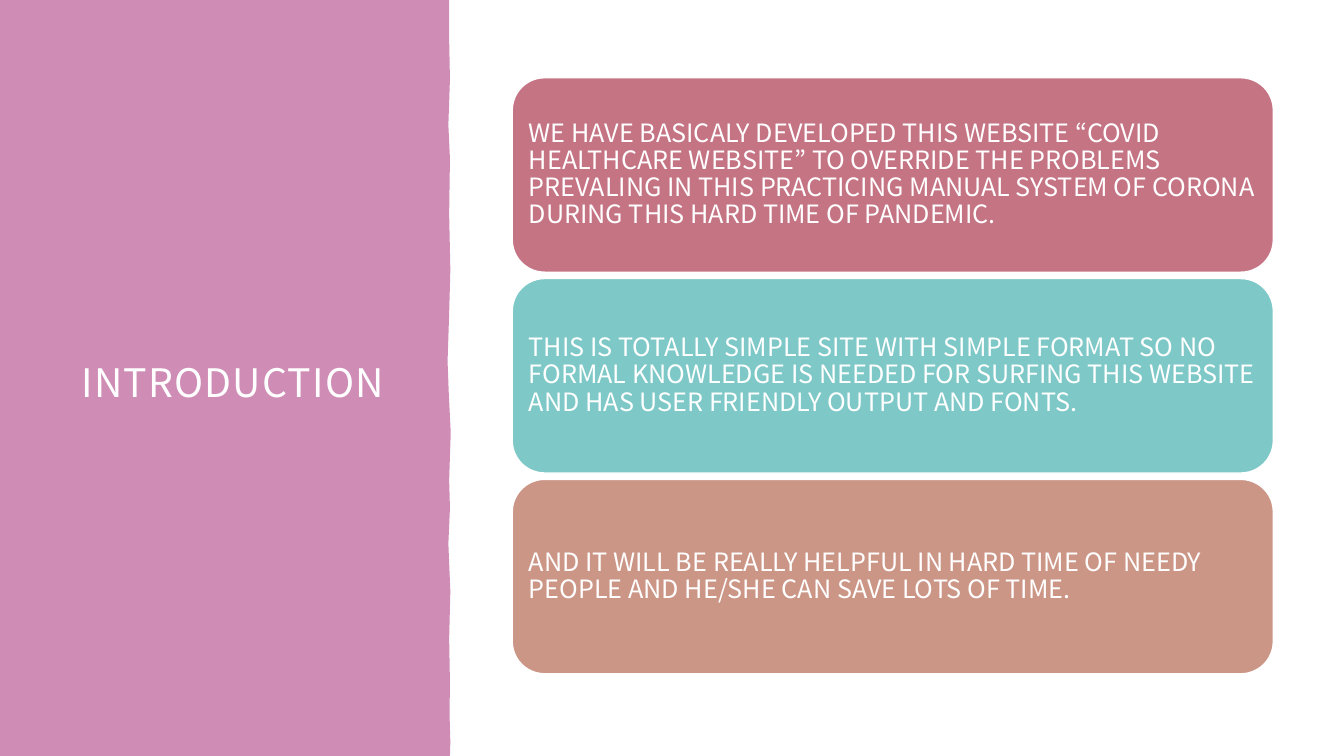
import pptx
import pptx.util
import pptx.dml.color
import pptx.enum.shapes
import pptx.enum.text

Cm = pptx.util.Cm
Pt = pptx.util.Pt
RGBColor = pptx.dml.color.RGBColor

WHITE = RGBColor(0xFF, 0xFF, 0xFF)
PINK = RGBColor(0xCF, 0x8D, 0xB6)
ROSE = RGBColor(0xC5, 0x74, 0x84)
TEAL = RGBColor(0x7E, 0xC8, 0xC8)
CLAY = RGBColor(0xCC, 0x96, 0x87)
FONT = "Noto Sans CJK KR"

PAGE_HEIGHT = 19.05
CARD_TOP, CARD_HEIGHT, CARD_PITCH = 1.96, 4.9, 5.06

# Wavy right edge of the side panel, as (x, y) in centimetres
PANEL_EDGE = [
    (11.32, 0), (11.32, 1.0), (11.34, 2.0), (11.3, 3.15), (11.34, 4.0),
    (11.32, 5.4), (11.35, 6.8), (11.32, 7.9), (11.28, 9.1), (11.31, 9.9),
    (11.36, 10.9), (11.32, 12.1), (11.34, 12.8), (11.3, 13.7), (11.35, 14.9),
    (11.32, 16.1), (11.34, 17.2), (11.33, 18.0), (11.35, 18.7),
    (11.34, PAGE_HEIGHT),
]

CARDS = [
    (ROSE, "WE HAVE BASICALY DEVELOPED THIS WEBSITE “COVID HEALTHCARE WEBSITE” "
           "TO OVERRIDE THE PROBLEMS PREVALING IN THIS PRACTICING MANUAL SYSTEM "
           "OF CORONA DURING THIS HARD TIME OF PANDEMIC."),
    (TEAL, "THIS IS TOTALLY SIMPLE SITE WITH SIMPLE FORMAT SO NO FORMAL KNOWLEDGE "
           "IS NEEDED FOR SURFING THIS WEBSITE AND HAS USER FRIENDLY OUTPUT AND "
           "FONTS."),
    (CLAY, "AND IT WILL BE REALLY HELPFUL IN HARD TIME OF NEEDY PEOPLE AND HE/SHE "
           "CAN SAVE LOTS OF TIME."),
]


def write_text(box, text, size, line_spacing, inset):
    frame = box.text_frame
    frame.text = text
    frame.word_wrap = True
    frame.auto_size = pptx.enum.text.MSO_AUTO_SIZE.NONE
    frame.vertical_anchor = pptx.enum.text.MSO_ANCHOR.MIDDLE
    frame.margin_left = frame.margin_right = Cm(inset)
    frame.margin_top = frame.margin_bottom = Cm(inset)
    para = frame.paragraphs[0]
    para.alignment = pptx.enum.text.PP_ALIGN.LEFT
    para.line_spacing = line_spacing
    span = para.runs[0]
    span.font.name = FONT
    span.font.size = Pt(size)
    span.font.color.rgb = WHITE
    return span


def add_panel(page):
    builder = page.shapes.build_freeform(0, 0, scale=1.0)
    corners = PANEL_EDGE + [(0, PAGE_HEIGHT)]
    builder.add_line_segments([(Cm(x), Cm(y)) for x, y in corners], close=True)
    panel = builder.convert_to_shape()
    panel.shadow.inherit = False
    panel.fill.solid()
    panel.fill.fore_color.rgb = PINK
    panel.line.fill.background()
    # Keep the panel behind the title
    page.shapes.title._element.addprevious(panel._element)


def set_title(page, text):
    title = page.shapes.title
    title.left, title.top = Cm(1.75), Cm(1.78)
    title.width, title.height = Cm(8.61), Cm(15.52)
    span = write_text(title, text, 28, 1.1, 0.3)
    title.text_frame.margin_bottom = Cm(0.25)
    # Letter spacing in hundredths of a point
    span.font._element.set("spc", "90")


def add_card(page, top, colour, text):
    card = page.shapes.add_shape(
        pptx.enum.shapes.MSO_SHAPE.ROUNDED_RECTANGLE,
        Cm(12.91), Cm(top), Cm(19.18), Cm(CARD_HEIGHT))
    card.shadow.inherit = False
    card.fill.solid()
    card.fill.fore_color.rgb = colour
    card.line.color.rgb = WHITE
    card.line.width = Pt(1)
    write_text(card, text, 18, 0.9, 0.18)


def main():
    deck = pptx.Presentation()
    deck.slide_width, deck.slide_height = Cm(33.87), Cm(PAGE_HEIGHT)
    page = deck.slides.add_slide(deck.slide_layouts.get_by_name("Title Only"))

    # Side panel with the title
    add_panel(page)
    set_title(page, "INTRODUCTION")

    # Stacked cards
    for row, (colour, text) in enumerate(CARDS):
        add_card(page, CARD_TOP + row * CARD_PITCH, colour, text)

    deck.save("out.pptx")


if __name__ == "__main__":
    main()
